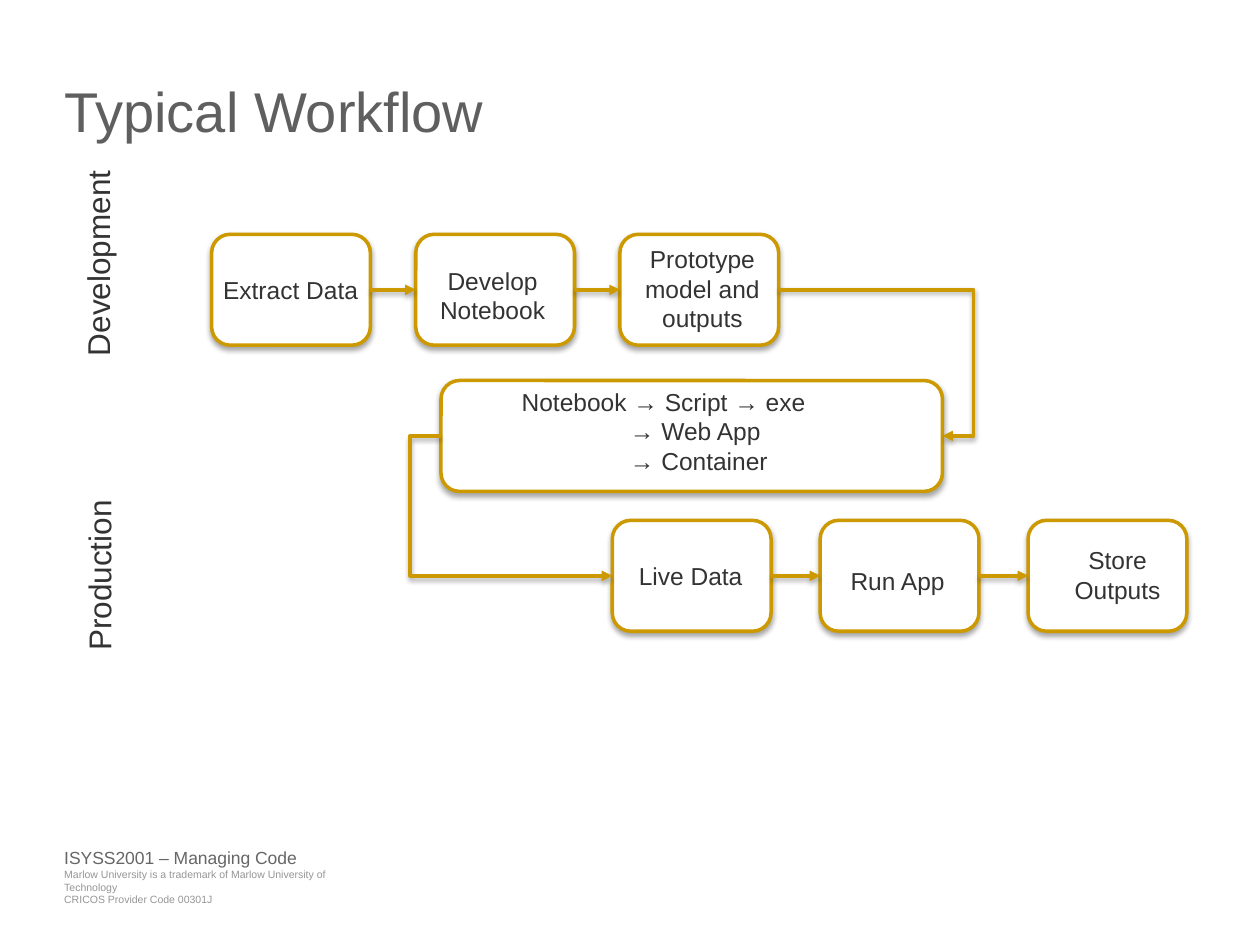
import pptx
import pptx.util
import pptx.dml.color
import pptx.enum.shapes
import pptx.enum.text
import pptx.oxml
import pptx.oxml.ns

COLORS = {"gold": "CC9900", "white": "FFFFFF", "text": "333333",
          "title": "5F5F5F", "unit": "666666", "legal": "969696"}
FONT = "Arial"
SLIDE_W, SLIDE_H = 10, 7.5
BOX_W, BOX_H = 1.26, 0.88
MARGIN = 0.51
LEFT = pptx.enum.text.PP_ALIGN.LEFT
CENTER = pptx.enum.text.PP_ALIGN.CENTER

TITLE = "Typical Workflow"
UNIT = ["ISYSS2001 – Managing Code"]
LEGAL = ["Marlow University is a trademark of Marlow University of Technology",
         "CRICOS Provider Code 00301J"]
PHASES = [("Development", -0.02, 1.88, 1.59), ("Production", 0.13, 4.36, 1.31)]

# label, offset in box, label size, alignment, wrap
ROWS = [
    {"left": 1.68, "top": 1.86, "pitch": 1.62, "steps": [
        ("Extract Data", 0.04, 0.27, 1.18, 0.34, LEFT, False),
        ("Develop Notebook", 0.11, 0.20, 1.0, 0.57, CENTER, True),
        ("Prototype model and outputs", 0.10, 0.03, 1.11, 0.81, CENTER, True)]},
    {"left": 4.86, "top": 4.13, "pitch": 1.65, "steps": [
        ("Live Data", 0.16, 0.27, 0.93, 0.34, LEFT, False),
        ("Run App", 0.19, 0.31, 0.88, 0.34, LEFT, True),
        ("Store Outputs", 0.21, 0.15, 1.0, 0.57, CENTER, True)]},
]
PACKAGING = ["Notebook → Script → exe", "→ Web App", "→ Container"]
PACKAGING_BOX = (3.5, 3.02, 3.98, BOX_H)
PACKAGING_INDENT = 0.86

SHADOW = (
    '<a:effectLst %s><a:outerShdw blurRad="38100" dist="22860" dir="5400000" '
    'rotWithShape="0"><a:srgbClr val="000000"><a:alpha val="35000"/></a:srgbClr>'
    '</a:outerShdw></a:effectLst>' % pptx.oxml.ns.nsdecls("a"))

inch = pptx.util.Inches


def rgb(name):
    return pptx.dml.color.RGBColor.from_string(COLORS[name])


def style_font(paragraph, size, color):
    paragraph.font.size = pptx.util.Pt(size)
    paragraph.font.name = FONT
    paragraph.font.color.rgb = rgb(color)


def add_label(slide, lines, place, size=14, color="text", align=LEFT,
              wrap=False, inset=0.05):
    label = slide.shapes.add_textbox(*map(inch, place))
    frame = label.text_frame
    frame.word_wrap = wrap
    frame.margin_left = frame.margin_right = inch(inset)
    frame.margin_top = frame.margin_bottom = inch(inset)
    frame.text = "\n".join(lines)
    for paragraph in frame.paragraphs:
        paragraph.alignment = align
        style_font(paragraph, size, color)
    return label


def outline(part):
    part.line.color.rgb = rgb("gold")
    part.line.width = pptx.util.Pt(2)
    part._element.spPr.append(pptx.oxml.parse_xml(SHADOW))


def add_box(slide, place):
    box = slide.shapes.add_shape(
        pptx.enum.shapes.MSO_SHAPE.ROUNDED_RECTANGLE, *map(inch, place))
    box.fill.solid()
    box.fill.fore_color.rgb = rgb("white")
    outline(box)
    return box


def add_arrow(slide, kind, start, end):
    arrow = slide.shapes.add_connector(kind, *start, *end)
    outline(arrow)
    arrow.line._get_or_add_ln().append(pptx.oxml.parse_xml(
        '<a:tailEnd %s type="triangle"/>' % pptx.oxml.ns.nsdecls("a")))
    return arrow


def side(box, right):
    return box.left + (box.width if right else 0), box.top + box.height // 2


def link(slide, source, target):
    arrow = add_arrow(slide, pptx.enum.shapes.MSO_CONNECTOR.STRAIGHT,
                      side(source, True), side(target, False))
    arrow.begin_connect(source, 3)
    arrow.end_connect(target, 1)


def bend(slide, start, end, bend_share):
    arrow = add_arrow(slide, pptx.enum.shapes.MSO_CONNECTOR.ELBOW, start, end)
    geometry = arrow._element.spPr.find(pptx.oxml.ns.qn("a:prstGeom"))
    for guides in list(geometry):
        geometry.remove(guides)
    geometry.append(pptx.oxml.parse_xml(
        '<a:avLst %s><a:gd name="adj1" fmla="val %d"/></a:avLst>'
        % (pptx.oxml.ns.nsdecls("a"), round(bend_share * 100000))))


def main():
    deck = pptx.Presentation()
    deck.slide_width, deck.slide_height = inch(SLIDE_W), inch(SLIDE_H)
    slide = deck.slides.add_slide(deck.slide_layouts[5])

    title = slide.shapes.title
    title.left, title.top = inch(MARGIN), inch(0.61)
    title.width, title.height = inch(SLIDE_W - 2 * MARGIN), inch(1.09)
    frame = title.text_frame
    frame.text = TITLE
    frame.auto_size = pptx.enum.text.MSO_AUTO_SIZE.NONE
    frame.vertical_anchor = pptx.enum.text.MSO_ANCHOR.TOP
    frame.margin_left = frame.margin_right = 0
    frame.margin_top = frame.margin_bottom = 0
    frame.paragraphs[0].alignment = LEFT
    style_font(frame.paragraphs[0], 32, "title")

    add_label(slide, LEGAL, (MARGIN, 6.89, 2.44, 0.16), 6, "legal", inset=0)
    add_label(slide, UNIT, (MARGIN, 6.72, 1.86, 0.17), 10, "unit", inset=0)
    for phase, left, top, width in PHASES:
        add_label(slide, [phase], (left, top, width, 0.4), 18).rotation = 270

    development, production = [
        [add_box(slide, (row["left"] + i * row["pitch"], row["top"], BOX_W, BOX_H))
         for i in range(len(row["steps"]))] for row in ROWS]
    packaging = add_box(slide, PACKAGING_BOX)

    for steps in (development, production):
        for source, target in zip(steps, steps[1:]):
            link(slide, source, target)
    bend(slide, side(development[-1], True), side(packaging, True), 1.19)
    bend(slide, side(packaging, False), side(production[0], False), -0.18)

    for row in ROWS:
        for i, (text, dx, dy, width, height, align, wrap) in enumerate(row["steps"]):
            place = (row["left"] + i * row["pitch"] + dx, row["top"] + dy, width, height)
            add_label(slide, [text], place, align=align, wrap=wrap)
    formats = add_label(slide, PACKAGING, (4.09, PACKAGING_BOX[1], 2.54, 0.81), wrap=True)
    for paragraph in formats.text_frame.paragraphs[1:]:
        paragraph._p.get_or_add_pPr().set("marL", str(inch(PACKAGING_INDENT)))

    deck.save("out.pptx")


if __name__ == "__main__":
    main()
